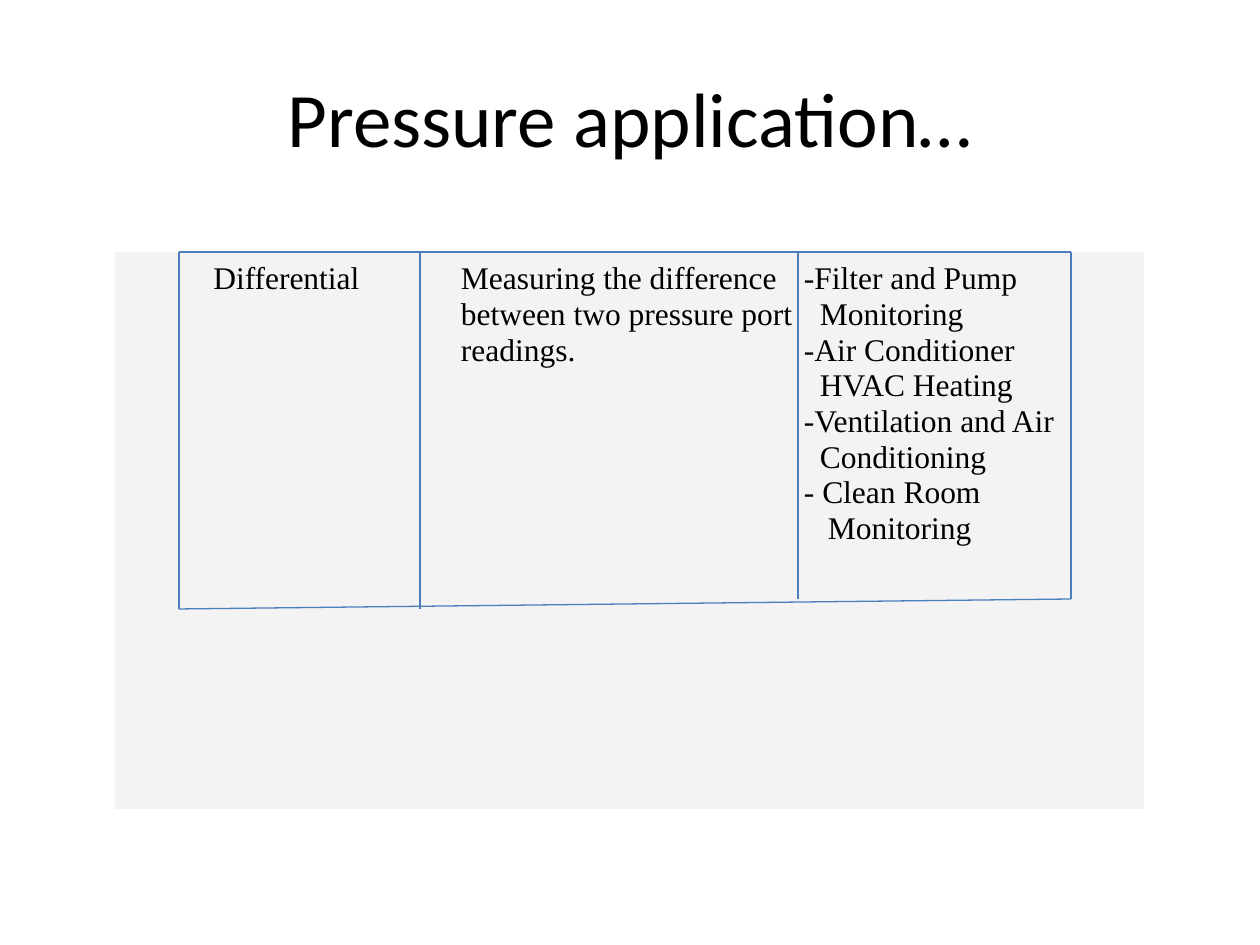
from pptx import Presentation
from pptx.dml.color import RGBColor
from pptx.enum.shapes import MSO_CONNECTOR
from pptx.enum.text import MSO_ANCHOR, PP_ALIGN
from pptx.oxml.ns import qn
from pptx.util import Emu, Pt

STRAIGHT = MSO_CONNECTOR.STRAIGHT
MIDDLE = MSO_ANCHOR.MIDDLE
LEFT, CENTER = PP_ALIGN.LEFT, PP_ALIGN.CENTER
COLORS = {"text": "000000", "panel": "F3F3F3", "rule": "4B7EBC"}
EMU_PER_PX = 914400 / 126
NO_GRID_STYLE = "{2D5ABB26-0587-4C30-8999-92F81FD0307C}"

COLUMNS = [
    (CENTER, [("Differential", 0)]),
    (LEFT, [("Measuring the difference between two pressure port readings.", 0)]),
    (LEFT, [
        ("-Filter and Pump\vMonitoring", 16),
        ("-Air Conditioner\vHVAC Heating", 16),
        ("-Ventilation and Air\vConditioning", 16),
        ("- Clean Room\vMonitoring", 24),
    ]),
]
RULES = [
    (420, 252, 420, 609),
    (179, 252, 179, 609),
    (798, 252, 798, 599),
    (1071, 252, 1071, 599),
    (179, 252, 1071, 252),
    (179, 609, 1071, 599),
]


def px(length):
    """Turn pixels into EMU."""
    return Emu(round(length * EMU_PER_PX))


def color(name):
    """Look up a palette colour."""
    return RGBColor.from_string(COLORS[name])


def apply(target, formats):
    """Set each attribute named in a dict of format values."""
    for attribute, value in formats.items():
        setattr(target, attribute, value)


def write(paragraph, text, font_name, size, align):
    """Fill a paragraph with text in one font."""
    paragraph.text = text
    paragraph.alignment = align
    for run in paragraph.runs:
        apply(run.font, {"name": font_name, "size": Pt(size)})
        run.font.color.rgb = color("text")


def add_title(slide, text):
    """Add the centred slide title."""
    frame = slide.shapes.add_textbox(px(63), px(38), px(1134), px(158)).text_frame
    apply(frame, {"word_wrap": True, "vertical_anchor": MIDDLE})
    write(frame.paragraphs[0], text, "Calibri", 44, CENTER)


def fill_cell(cell, align, entries):
    """Write entries with hanging indents into a shaded cell."""
    apply(cell, {"margin_left": px(3), "margin_right": px(3),
                 "margin_top": px(9), "margin_bottom": px(9)})
    cell.fill.solid()
    cell.fill.fore_color.rgb = color("panel")
    frame = cell.text_frame
    for index, (text, hang) in enumerate(entries):
        paragraph = frame.add_paragraph() if index else frame.paragraphs[0]
        write(paragraph, text, "Times New Roman", 18, align)
        paragraph.line_spacing = Pt(20.4)
        properties = paragraph._p.get_or_add_pPr()
        properties.set("marL", str(px(hang)))
        properties.set("indent", str(-px(hang)))


def add_application_table(slide):
    """Add the one-row table of the pressure type and its uses."""
    table = slide.shapes.add_table(
        1, len(COLUMNS), px(115), px(252), px(1029), px(557)).table
    apply(table, {"first_row": False, "horz_banding": False})
    table._tbl.tblPr.find(qn("a:tableStyleId")).text = NO_GRID_STYLE
    for cell, (align, entries) in zip(table.rows[0].cells, COLUMNS):
        fill_cell(cell, align, entries)


def add_rule(slide, ends):
    """Add one thin line of the frame."""
    rule = slide.shapes.add_connector(STRAIGHT, *map(px, ends))
    rule.line.width = Pt(0.75)
    rule.line.color.rgb = color("rule")
    properties = rule._element.spPr
    properties.append(properties.makeelement(qn("a:effectLst"), {}))


def main():
    """Build and save the slide."""
    deck = Presentation()
    apply(deck, {"slide_width": px(1260), "slide_height": px(945)})
    slide = deck.slides.add_slide(deck.slide_layouts[6])
    add_title(slide, "Pressure application…")
    add_application_table(slide)
    for ends in RULES:
        add_rule(slide, ends)
    deck.save("out.pptx")


if __name__ == "__main__":
    main()
